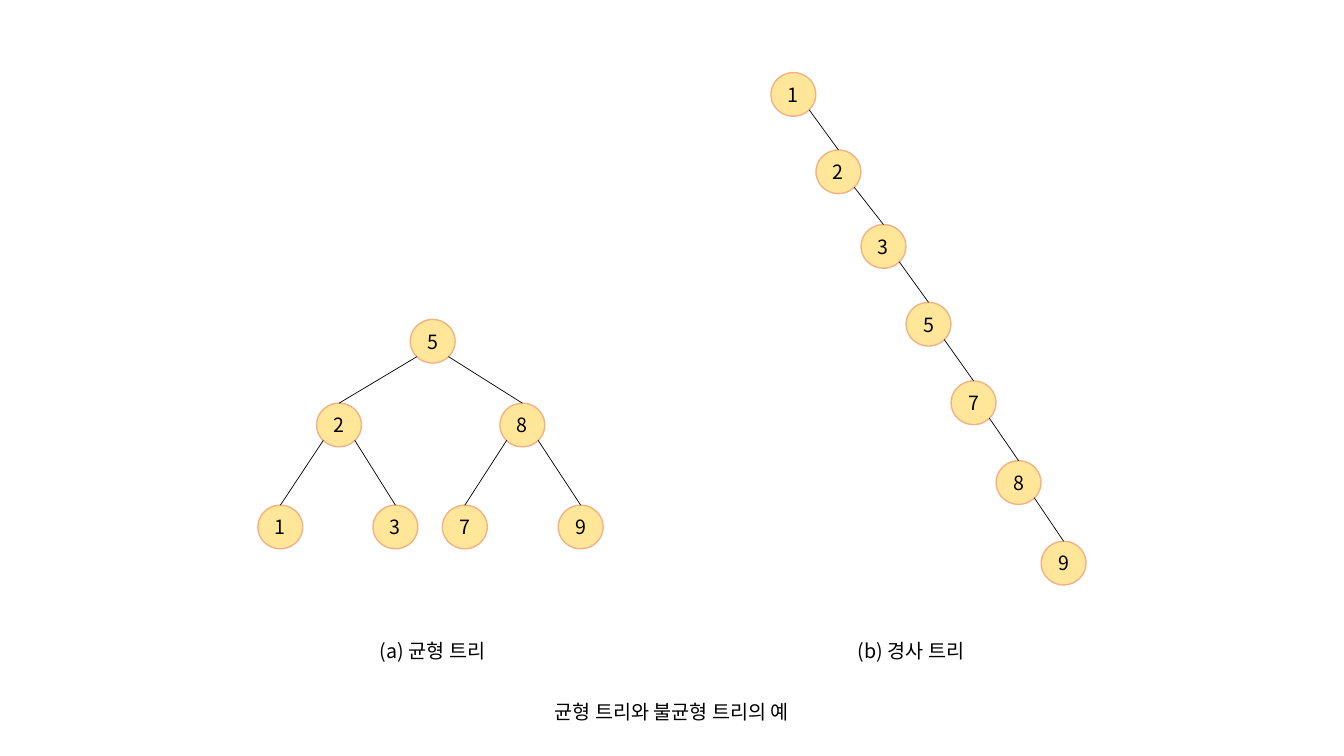
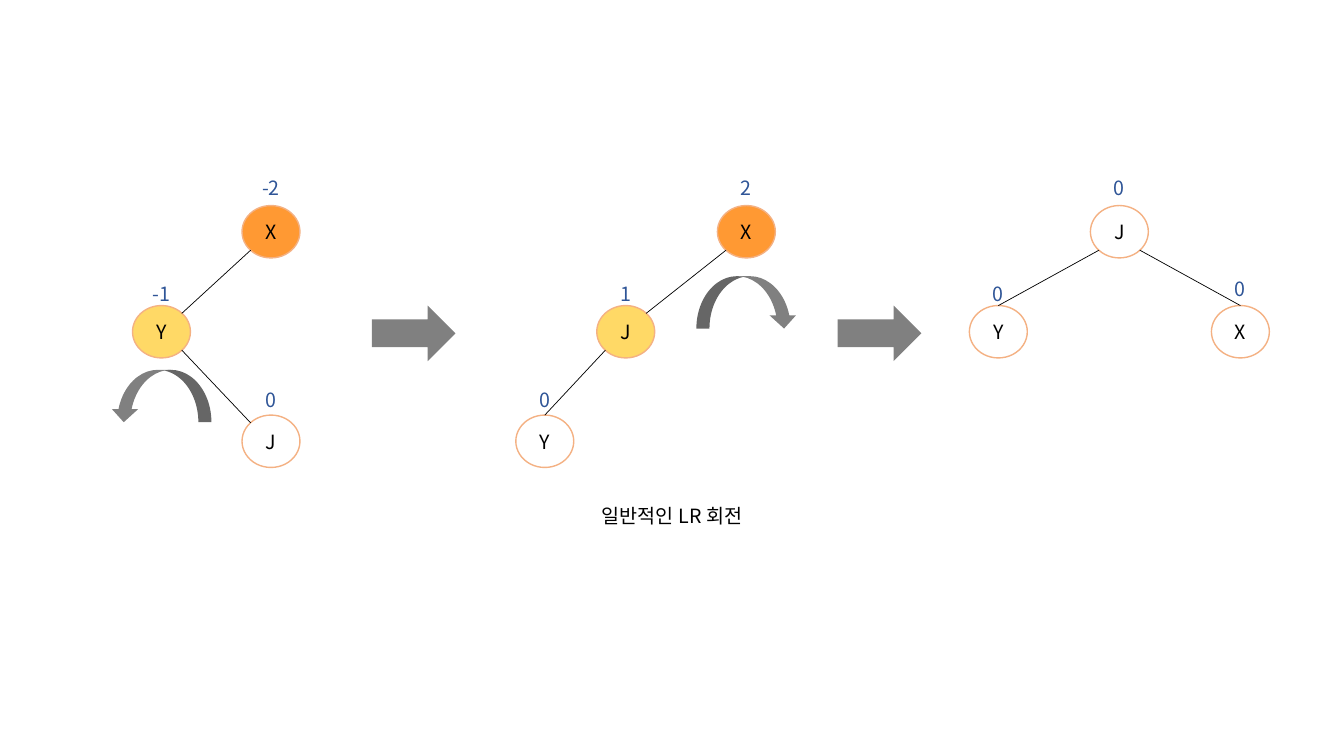
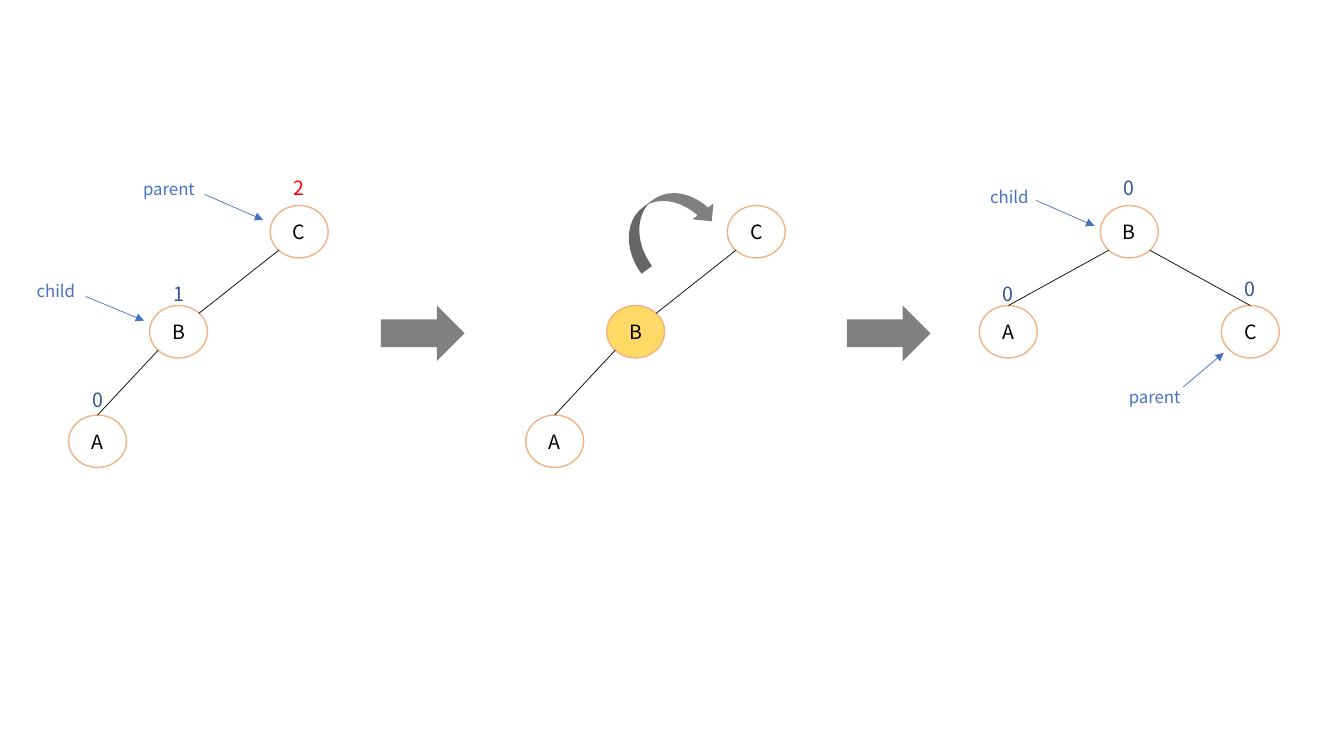
import pptx
import pptx.util
import pptx.dml.color
import pptx.enum.shapes
import pptx.enum.text
import pptx.oxml
import pptx.oxml.ns

Cm = pptx.util.Cm
Pt = pptx.util.Pt
RGB = pptx.dml.color.RGBColor
SHAPE = pptx.enum.shapes.MSO_SHAPE
qn = pptx.oxml.ns.qn

# Shared style
FONT = "Noto Sans CJK KR"
BLACK = RGB(0x00, 0x00, 0x00)
WHITE = RGB(0xFF, 0xFF, 0xFF)
CREAM = RGB(0xFF, 0xE6, 0x99)
GOLD = RGB(0xFF, 0xD9, 0x66)
ORANGE = RGB(0xFF, 0x99, 0x33)
PEACH = RGB(0xF4, 0xB1, 0x83)
GRAY = RGB(0x80, 0x80, 0x80)
NAVY = RGB(0x2F, 0x55, 0x97)
BLUE = RGB(0x44, 0x72, 0xC4)
RED = RGB(0xFF, 0x00, 0x00)

deck = pptx.Presentation()
deck.slide_width, deck.slide_height = Cm(33.87), Cm(19.05)
slides = [deck.slides.add_slide(deck.slide_layouts[6]) for _ in range(3)]


def write(shape, text, color=BLACK, size=14):
    frame = shape.text_frame
    frame.text = text
    frame.word_wrap = True
    para = frame.paragraphs[0]
    para.alignment = pptx.enum.text.PP_ALIGN.CENTER
    font = para.runs[0].font
    font.name, font.size, font.color.rgb = FONT, Pt(size), color
    east = pptx.oxml.parse_xml(
        f'<a:ea {pptx.oxml.ns.nsdecls("a")} typeface="{FONT}"/>')
    para.runs[0].font.fill._xPr.find(qn("a:latin")).addnext(east)


def link(slide, start, end, color=BLACK, arrow=False):
    line = slide.shapes.add_connector(
        pptx.enum.shapes.MSO_CONNECTOR.STRAIGHT,
        *[Cm(n) for n in (*start, *end)])
    line.line.color.rgb, line.line.width = color, Pt(0.5)
    if arrow:
        tail = line.line._get_or_add_ln().makeelement(
            qn("a:tailEnd"), {"type": "triangle"})
        line.line._get_or_add_ln().append(tail)
    props = line._element.spPr
    props.append(props.makeelement(qn("a:effectLst"), {}))


# Points on a node's edge, as shares of its size from the centre
TOP = (0, -0.5)
TL, TR = (-0.35, -0.35), (0.35, -0.35)
BL, BR = (-0.35, 0.35), (0.35, 0.35)

# Tree forms: node places (left from the root, top) and links between nodes
SMALL, LARGE = (1.13, 1.1), (1.46, 1.32)
ROWS = (5.18, 7.7, 10.46)
FULL = ([(0, 8.05), (-2.36, 10.16), (2.26, 10.16), (-3.84, 12.73),
         (-0.94, 12.73), (0.81, 12.73), (3.73, 12.73)],
        [(0, 1, BL, TOP), (0, 2, BR, TOP), (1, 3, BL, TOP),
         (1, 4, BR, TOP), (2, 5, BL, TOP), (2, 6, BR, TOP)])
drops = (1.83, 3.78, 5.66, 7.62, 9.6, 11.61, 13.64)
CHAIN = ([(1.135 * i, top) for i, top in enumerate(drops)],
         [(i, i + 1, BR, TOP) for i in range(len(drops) - 1)])
LEAN = (list(zip((0, -3.04, -5.08), ROWS)),
        [(0, 1, BL, TR), (1, 2, BL, TOP)])
BENT = (list(zip((0, -2.76, 0), ROWS)),
        [(0, 1, BL, TR), (1, 2, BR, TL)])
FLAT = ([(0, ROWS[0]), (-3.05, ROWS[1]), (3.05, ROWS[1])],
        [(0, 1, BL, TOP), (0, 2, BR, TOP)])

# Balance values: rise above the node
STEEP, EVEN = (0.86, 0.72, 0.81), (0.86, 0.72, 0.84)

# Trees: slide, form, node size, root left, keys, fills, values, value rises
PLAIN = [WHITE] * 3
trees = [
    (0, FULL, SMALL, 10.34, "5281379", [CREAM] * 7, [], []),
    (0, CHAIN, SMALL, 19.43, "1235789", [CREAM] * 7, [], []),
    (1, BENT, LARGE, 6.1, "XYJ", [ORANGE, GOLD, WHITE],
     ["-2", "-1", "0"], STEEP),
    (1, LEAN, LARGE, 18.08, "XJY", [ORANGE, GOLD, WHITE],
     ["2", "1", "0"], STEEP),
    (1, FLAT, LARGE, 27.48, "JYX", PLAIN, ["0"] * 3, EVEN),
    (2, LEAN, LARGE, 6.81, "CBA", PLAIN, ["2", "1", "0"], STEEP),
    (2, LEAN, LARGE, 18.33, "CBA", [WHITE, GOLD, WHITE], [], []),
    (2, FLAT, LARGE, 27.73, "BAC", PLAIN, ["0"] * 3, EVEN),
]
texts = []
for page, (spots, links), (wide, high), root, keys, fills, marks, rises in trees:
    slide = slides[page]
    spots = [(root + left, top) for left, top in spots]
    for (left, top), key, fill in zip(spots, keys, fills):
        node = slide.shapes.add_shape(
            SHAPE.OVAL, Cm(left), Cm(top), Cm(wide), Cm(high))
        node.shadow.inherit = False
        node.fill.solid()
        node.fill.fore_color.rgb = fill
        node.line.color.rgb, node.line.width = PEACH, Pt(1)
        write(node, key)
        frame = node.text_frame
        frame.margin_left = frame.margin_right = 0
        frame.vertical_anchor = pptx.enum.text.MSO_ANCHOR.MIDDLE
    for parent, child, out, into in links:
        start, end = [
            (spots[n][0] + (0.5 + x) * wide, spots[n][1] + (0.5 + y) * high)
            for n, (x, y) in ((parent, out), (child, into))]
        link(slide, start, end)
    for (left, top), mark, rise in zip(spots, marks, rises):
        hue = RED if page == 2 and mark == "2" else NAVY
        texts.append((page, mark, left, top - rise, wide, hue, 14))

# Captions
texts += [
    (0, "(a) 균형 트리", 4.88, 15.98, 12.04, BLACK, 14),
    (0, "(b) 경사 트리", 16.94, 15.98, 12.04, BLACK, 14),
    (0, "균형 트리와 불균형 트리의 예", 7.32, 17.5, 19.23, BLACK, 14),
    (1, "일반적인 LR 회전", 7.32, 12.57, 19.23, BLACK, 14),
]

# Role names with pointers
roles = [
    ("parent", 2.9, 4.39, (5.16, 4.9), (6.63, 5.54)),
    ("child", 0.05, 6.96, (2.16, 7.47), (3.63, 8.08)),
    ("child", 24.08, 4.57, (26.11, 5.05), (27.58, 5.69)),
    ("parent", 27.74, 9.63, (29.82, 9.75), (30.84, 8.89)),
]
for role, left, top, start, end in roles:
    link(slides[2], start, end, BLUE, arrow=True)
    texts.append((2, role, left, top, 2.72, BLUE, 12))

for page, text, left, top, wide, hue, size in texts:
    box = slides[page].shapes.add_textbox(
        Cm(left), Cm(top), Cm(wide), Cm(0.86 if size == 14 else 0.76))
    write(box, text, hue, size)
    box.text_frame.auto_size = pptx.enum.text.MSO_AUTO_SIZE.SHAPE_TO_FIT_TEXT

# Step arrows and turn arrows: slide, form, left, top, size, turn, mirrored
STEP, TURN = (2.11, 1.4), (2.54, 1.32)
arrows = [(page, SHAPE.RIGHT_ARROW, left, 7.7, STEP, 0, False)
          for page, left in ((1, 9.37), (1, 21.11), (2, 9.6), (2, 21.34))]
arrows += [
    (1, SHAPE.CURVED_DOWN_ARROW, 17.55, 6.96, TURN, 0, False),
    (1, SHAPE.CURVED_DOWN_ARROW, 2.79, 9.32, TURN, 0, True),
    (2, SHAPE.CURVED_DOWN_ARROW, 15.52, 4.95, TURN, 323.2, False),
]
for page, form, left, top, (wide, high), turn, flip in arrows:
    arrow = slides[page].shapes.add_shape(
        form, Cm(left), Cm(top), Cm(wide), Cm(high))
    arrow.shadow.inherit = False
    arrow.fill.solid()
    arrow.fill.fore_color.rgb = GRAY
    arrow.line.fill.background()
    arrow.rotation = turn
    if flip:
        arrow._element.spPr.find(qn("a:xfrm")).set("flipH", "1")

deck.save("out.pptx")
